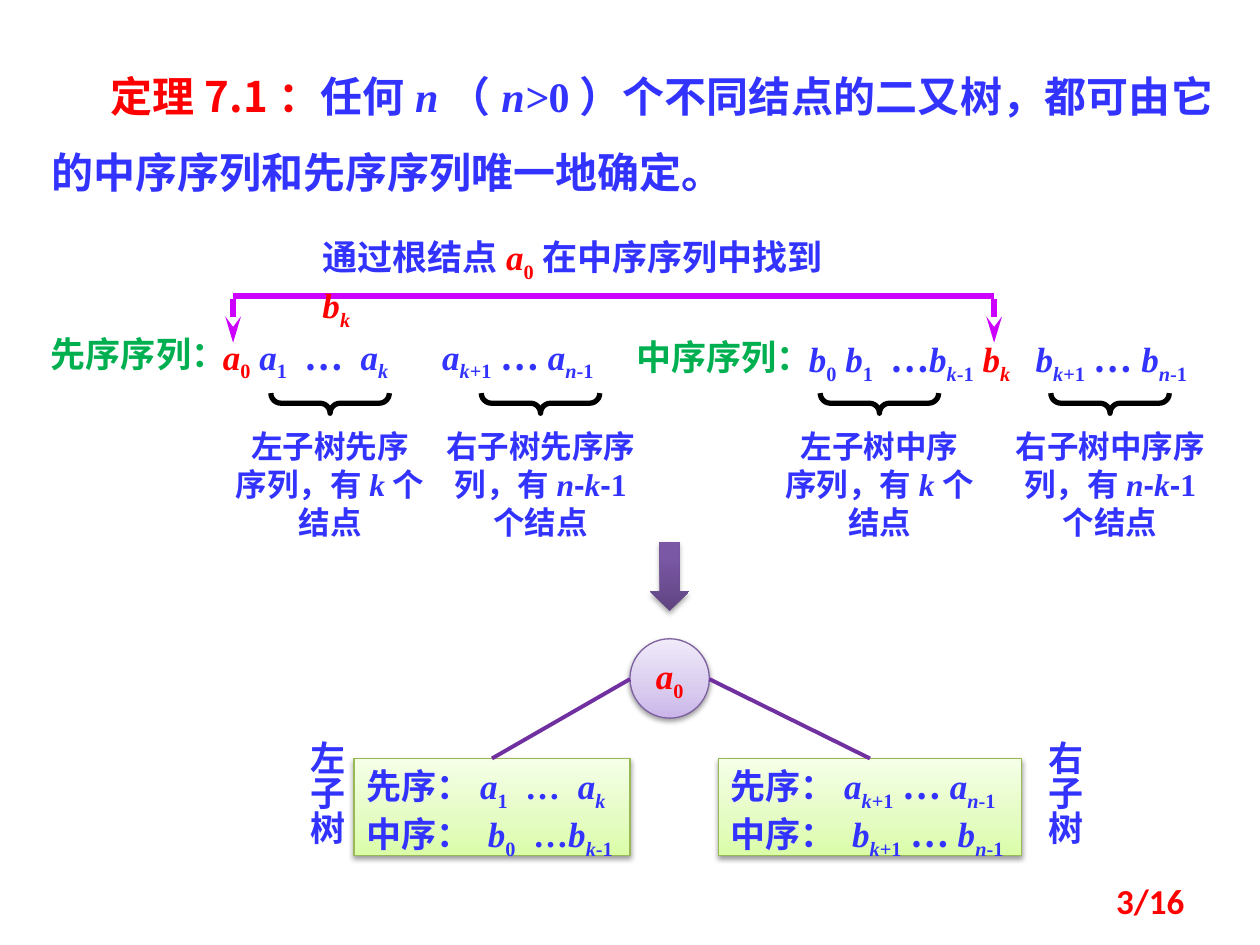
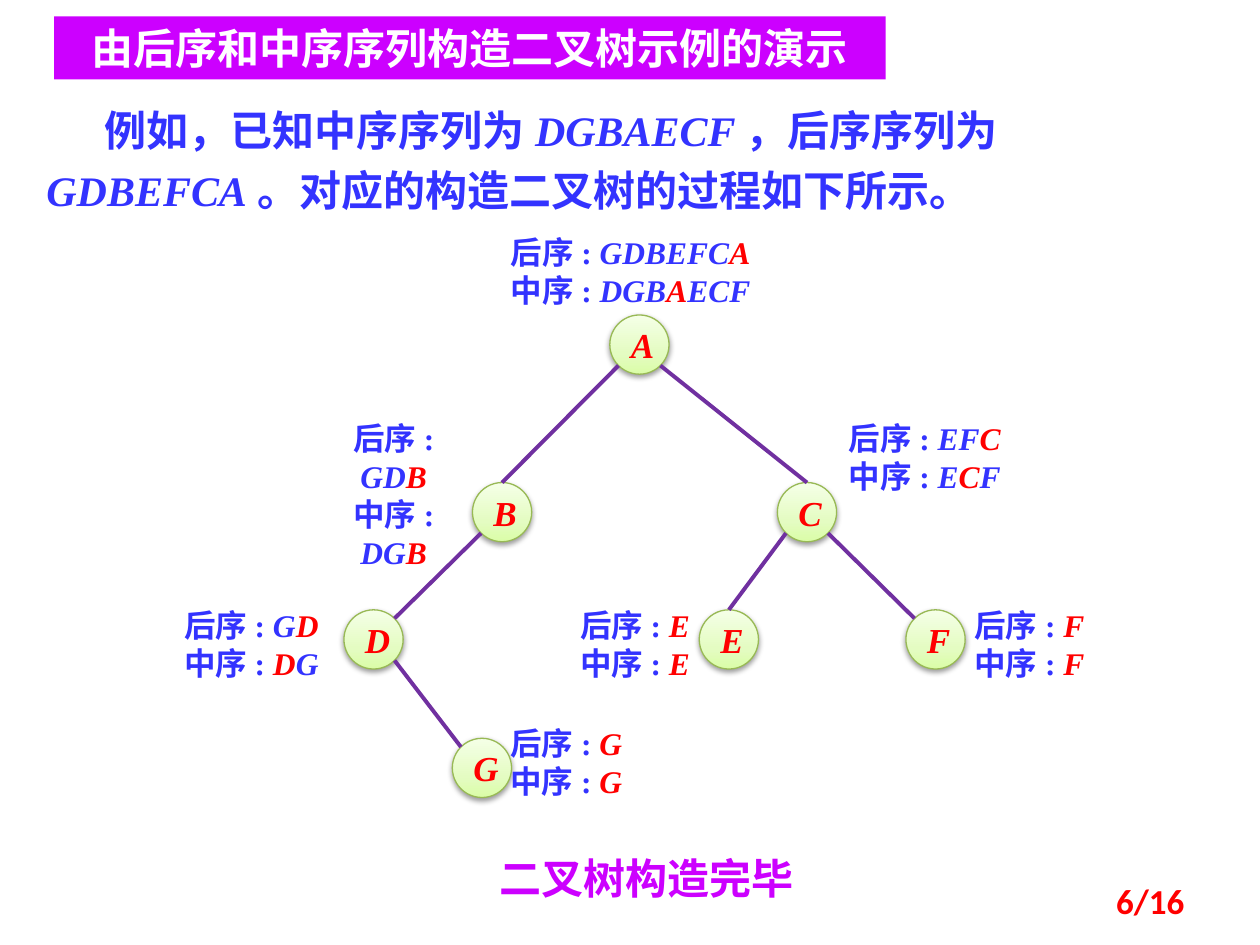
from pptx import Presentation
from pptx.dml.color import RGBColor
from pptx.enum.shapes import MSO_CONNECTOR as Link, MSO_SHAPE as Form
from pptx.enum.text import MSO_ANCHOR as Anchor, PP_ALIGN as Align
from pptx.oxml import parse_xml
from pptx.oxml.ns import nsdecls, qn
from pptx.util import Inches, Pt
from lxml.etree import SubElement

WIDE, HIGH = Inches(10), Inches(7.5)
COL, ROW = WIDE / 100, HIGH / 75  # the page is a grid of 100 columns by 75 rows

BLUE = RGBColor(0x33, 0x33, 0xFF)
RED = RGBColor(0xFF, 0, 0)
GREEN = RGBColor(0, 0xB0, 0x50)
PINK = RGBColor(0xCC, 0, 0xFF)
PLUM = RGBColor(0x70, 0x30, 0xA0)
BLACK = RGBColor(0, 0, 0)
WHITE = RGBColor(0xFF, 0xFF, 0xFF)
LEAF = RGBColor(0x98, 0xB9, 0x55)
LILAC = RGBColor(0x7D, 0x60, 0xA0)

# gradient stops: (percent, colour), from the bottom up
LIME = ((0, RGBColor(0xDA, 0xFD, 0xA7)), (35, RGBColor(0xE4, 0xFC, 0xC2)),
        (100, RGBColor(0xF5, 0xFF, 0xE7)))
MAUVE = ((0, RGBColor(0xC9, 0xB5, 0xE8)), (35, RGBColor(0xD8, 0xCB, 0xEE)),
         (100, RGBColor(0xF0, 0xEA, 0xF9)))
GRAPE = ((0, RGBColor(0x5F, 0x44, 0x80)), (80, RGBColor(0x7B, 0x58, 0xA6)),
         (100, RGBColor(0x7C, 0x57, 0xA8)))

SERIF, SANS = "Times New Roman", "Noto Sans CJK SC"
FONTS = {"n": SANS, "h": "Arial"}
DENT = 4.65  # first-line indent of the opening text

BALL = 4.7  # tree node diameter
NODES = {"A": (50.75, 27.35), "B": (39.85, 40.65), "C": (64.05, 40.65),
         "D": (29.65, 50.75), "E": (57.85, 50.75), "F": (74.25, 50.75),
         "G": (38.25, 60.95)}
TOP, LOW_L, LOW_R, UP_L, UP_R = (0, -1), (-.71, .71), (.71, .71), (-.71, -.71), (.71, -.71)
EDGES = (("A", LOW_L, "B", TOP), ("A", LOW_R, "C", TOP), ("B", LOW_L, "D", UP_R),
         ("D", LOW_R, "G", UP_L), ("C", LOW_L, "E", TOP), ("C", LOW_R, "F", UP_L))
# left, top, width, post-order, in-order
NOTES = ((39.1, 18, 21.9, "i~ GDBEFC|ri~A", "i~ DGB|ri~A|i~ECF"),
         (24.2, 32.8, 14.1, "i~ GD|ri~B", "i~ DG|ri~B"),
         (65.6, 32.8, 15.6, "i~ EF|ri~C", "i~ E|ri~C|i~F"),
         (13.3, 47.6, 13.3, "i~ G|ri~D", "ri~ D|i~G"),
         (39.1, 57, 11.7, "ri~ G", "ri~ G"),
         (44.6, 47.6, 11.6, "ri~ E", "ri~ E"),
         (75.9, 47.6, 11.6, "ri~ F", "ri~ F"))


def area(x, y, w, h):
    return round(x * COL), round(y * ROW), round(w * COL), round(h * ROW)


def say(frame, text, size=20, color=BLUE, align=Align.LEFT, font=SERIF,
        space=None, dent=0):
    """Write lines of runs split by |; marks before ~ are i italic, s subscript,
    r red, n sans, h Arial, w letter-spaced."""
    frame.word_wrap = True
    for n, line in enumerate(text.split("\n")):
        para = frame.paragraphs[0] if n == 0 else frame.add_paragraph()
        para.alignment = align
        if space:
            para.line_spacing = space
        para._p.get_or_add_pPr().set("indent", str(round(dent * COL)))
        for piece in line.split("|"):
            marks, _, words = piece.rpartition("~")
            run = para.add_run()
            run.text = words
            face = run.font
            face.size, face.bold, face.italic = Pt(size), True, "i" in marks
            face.color.rgb = RED if "r" in marks else color
            face.name = next((FONTS[m] for m in marks if m in FONTS), font)
            style = run._r.get_or_add_rPr()
            SubElement(style, qn("a:ea"), typeface=SANS)
            if "s" in marks:
                style.set("baseline", "-25000")
            if "w" in marks:
                style.set("spc", "500")


def pad(frame, side, end):
    frame.margin_left = frame.margin_right = round(side * COL)
    frame.margin_top = frame.margin_bottom = round(end * ROW)


def write(slide, place, text, tight=False, **look):
    frame = slide.shapes.add_textbox(*area(*place)).text_frame
    if tight:
        pad(frame, 0, 0)
    say(frame, text, **look)
    return frame


def glow(shape, stops, edge=None, alpha=38):
    """Give a shape a vertical gradient, a thin edge and a soft shadow below."""
    if edge is None:
        shape.line.fill.background()
    else:
        shape.line.color.rgb, shape.line.width = edge, Pt(.75)
    marks = "".join(f'<a:gs pos="{at * 1000}"><a:srgbClr val="{tone}"/></a:gs>'
                    for at, tone in stops)
    props = shape._element.spPr
    props.insert(2, parse_xml(
        f'<a:gradFill {nsdecls("a")} rotWithShape="1"><a:gsLst>{marks}</a:gsLst>'
        '<a:lin ang="16200000" scaled="0"/></a:gradFill>'))
    shape.shadow.inherit = False
    props.find(qn("a:effectLst")).append(parse_xml(
        f'<a:outerShdw {nsdecls("a")} blurRad="{Pt(3.1)}" dist="{Pt(1.6)}" '
        f'dir="5400000" rotWithShape="0"><a:srgbClr val="{BLACK}">'
        f'<a:alpha val="{alpha * 1000}"/></a:srgbClr></a:outerShdw>'))


def join(slide, start, end, color=PLUM, width=2.25, arrow=False):
    (x1, y1), (x2, y2) = start, end
    line = slide.shapes.add_connector(Link.STRAIGHT, *area(x1, y1, x2, y2))
    line.line.color.rgb, line.line.width = color, Pt(width)
    if arrow:
        SubElement(line.line._get_or_add_ln(), qn("a:tailEnd"),
                   type="stealth", len="lg")
    SubElement(line._element.spPr, qn("a:effectLst"))
    return line


def ball(slide, mid, size, text, stops, edge):
    x, y = mid
    shape = slide.shapes.add_shape(
        Form.OVAL, *area(x - size / 2, y - size / 2, size, size))
    glow(shape, stops, edge)
    shape.text_frame.vertical_anchor = Anchor.MIDDLE
    say(shape.text_frame, text, align=Align.CENTER)
    return shape


def part(slide, mid, text):
    """Put a brace under part of a sequence, and its meaning below."""
    write(slide, (mid - 7.9, 33.9, 15.8, 9.1), text, True, size=18,
          align=Align.CENTER)
    brace = slide.shapes.add_shape(Form.LEFT_BRACE, *area(mid - .8, 27.3, 1.6, 9.4))
    brace.rotation = 270
    brace.adjustments[0], brace.adjustments[1] = .5, .5
    brace.fill.background()
    brace.line.color.rgb, brace.line.width = BLACK, Pt(3)
    brace.shadow.inherit = False


def tail(key):
    """The part of a sequence from k+1 to n-1."""
    return f"i~{key}|is~k|s~+1| |n~…| |i~{key}|is~n|s~-1"


def branch(slide, x, wide, text, start, name, side):
    """One subtree: its two sequences, its name and the line from the root."""
    card = slide.shapes.add_shape(Form.RECTANGLE, *area(x, 60.2, wide, 7.7))
    glow(card, LIME, LEAF)
    card.text_frame.vertical_anchor = Anchor.TOP
    say(card.text_frame, text)
    frame = write(slide, (side, 57.8, 5.4, 13.3), name, font=SANS, align=Align.CENTER)
    frame._txBody.bodyPr.set("vert", "eaVert")
    join(slide, start, (x + wide / 2, 60.2)).end_connect(card, 0)


def foot(slide, page):
    frame = write(slide, (71.7, 69.5, 23.3, 4), page, color=RED, font="Calibri",
                  align=Align.RIGHT)
    frame.vertical_anchor = Anchor.MIDDLE


def proof(slide):
    write(slide, (3.1, 3.1, 94.2, 13.1),
          "rn~定理7.1：|任何|i~n|（|i~n>|0）个不同结点的二又树，都可由它的中序序列和先序序列唯一地确定。",
          size=24, align=Align.JUSTIFY, space=1.5, dent=DENT)
    for x, y, name in ((3.5, 26.4, "先序序列："), (50, 26.6, "中序序列：")):
        write(slide, (x, y, 15, 3.3), name, True, color=GREEN, align=Align.CENTER)
    for x, y, wide, text in (
            (17.7, 26.6, 15, "ri~a|rs~0| |i~a|s~1|w~ |n~…|w~ |i~a|is~k"),
            (35.1, 26.6, 14, tail("a")),
            (64.2, 26.8, 17.5, "i~b|s~0| |i~b|s~1|w~ |n~…|i~b|is~k|s~-1| |ri~b|ris~k"),
            (82.2, 26.8, 14, tail("b"))):
        write(slide, (x, y, wide, 3.4), text, True)
    for order, left, right in (("先序", 26.2, 42.9), ("中序", 69.8, 88.1)):
        part(slide, left, f"左子树{order}\n序列，有|i~k|个\n结点")
        part(slide, right, f"右子树{order}序\n列，有|i~n|h~-|i~k|h~-|1\n个结点")

    for x in (18.5, 78.9):
        join(slide, (x, 23.7), (x, 27.2), PINK, 3, True)
    join(slide, (18.5, 23.5), (78.9, 23.5), PINK, 3)
    write(slide, (25.6, 18.7, 41, 3.3), "通过根结点|ri~a|rs~0|在中序序列中找到|ri~b|ris~k", True)

    arrow = slide.shapes.add_shape(Form.DOWN_ARROW, *area(51.6, 43, 3.1, 5.5))
    glow(arrow, GRAPE, alpha=35)
    root = ball(slide, (53.15, 53.85), 6.3, "ri~a|rs~0", MAUVE, LILAC)
    pad(root.text_frame, 0, .5)
    branch(slide, 28.1, 21.9,
           "先序：|i~a|s~1|w~ |…|w~ |i~a|is~k\n中序：|i~ b|s~0|w~ |…|i~b|is~k|s~-1",
           (50, 53.9), "左子树", 22.7)
    branch(slide, 57, 24.1, f"先序：|{tail('a')}\n中序：|i~ |{tail('b')}",
           (56.3, 53.9), "右子树", 81.3)


def spot(key, way):
    """A point on the rim of a node."""
    return tuple(c + BALL / 2 * step for c, step in zip(NODES[key], way))


def demo(slide):
    band = slide.shapes.add_shape(Form.RECTANGLE, *area(4.3, 1.3, 66, 5))
    band.fill.solid()
    band.fill.fore_color.rgb = PINK
    band.line.fill.background()
    band.shadow.inherit = False
    band.text_frame.vertical_anchor = Anchor.TOP
    say(band.text_frame, "由后序和中序序列构造二叉树示例的演示", 24, WHITE, Align.CENTER, SANS)
    write(slide, (2.7, 7, 95, 10.7),
          "例如，已知中序序列为|i~DGBAECF|，后序序列为|i~GDBEFCA|。对应的构造二叉树的过程如下所示。",
          size=24, space=1.2, dent=DENT)
    write(slide, (38.3, 67.2, 26, 5), "二叉树构造完毕", size=24, color=PINK,
          font=SANS, align=Align.CENTER)
    for key, mid in NODES.items():
        ball(slide, mid, BALL, f"ri~{key}", LIME, LEAF)
    for top, out, low, into in EDGES:
        join(slide, spot(top, out), spot(low, into))
    for x, y, wide, post, mid in NOTES:
        write(slide, (x, y, wide, 7.1), f"后序:|{post}\n中序:|{mid}", size=18,
              align=Align.CENTER)


def main():
    deck = Presentation()
    deck.slide_width, deck.slide_height = WIDE, HIGH
    for draw, page in ((proof, "3/16"), (demo, "6/16")):
        slide = deck.slides.add_slide(deck.slide_layouts[6])
        draw(slide)
        foot(slide, page)
    deck.save("out.pptx")


if __name__ == "__main__":
    main()
